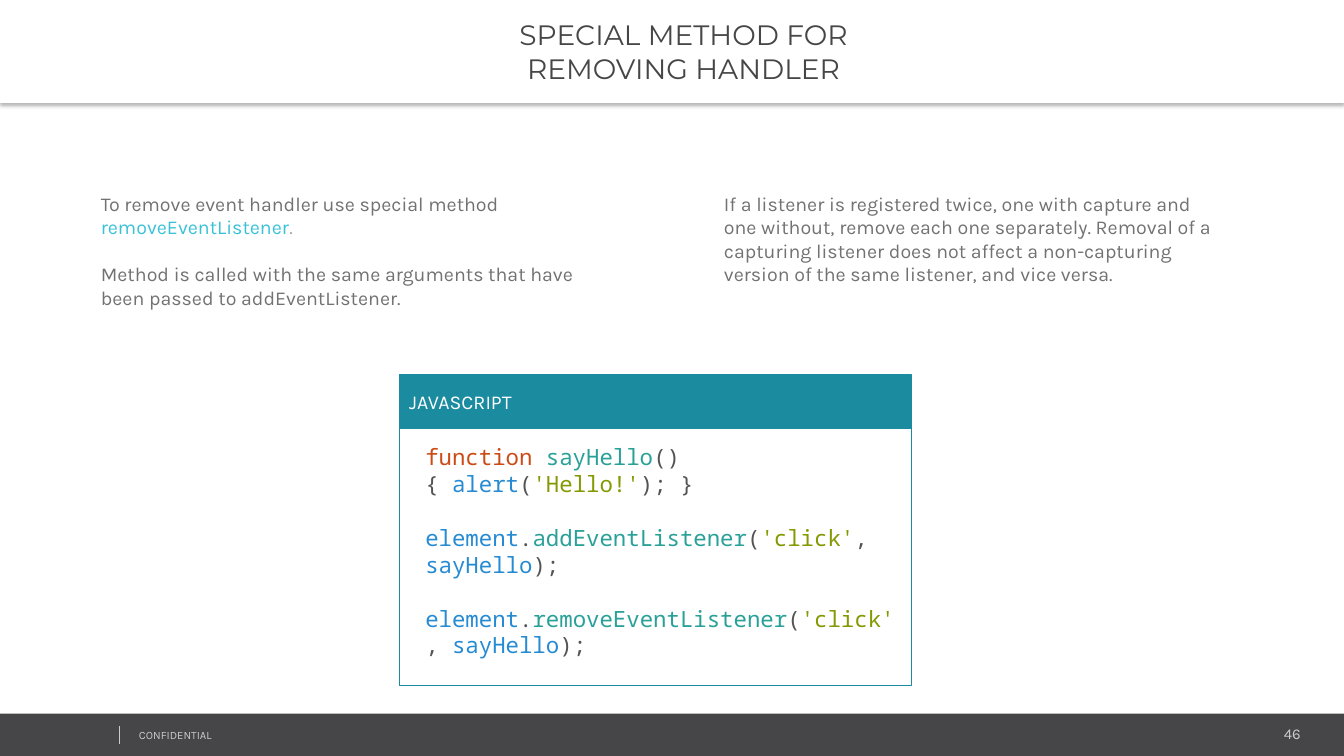
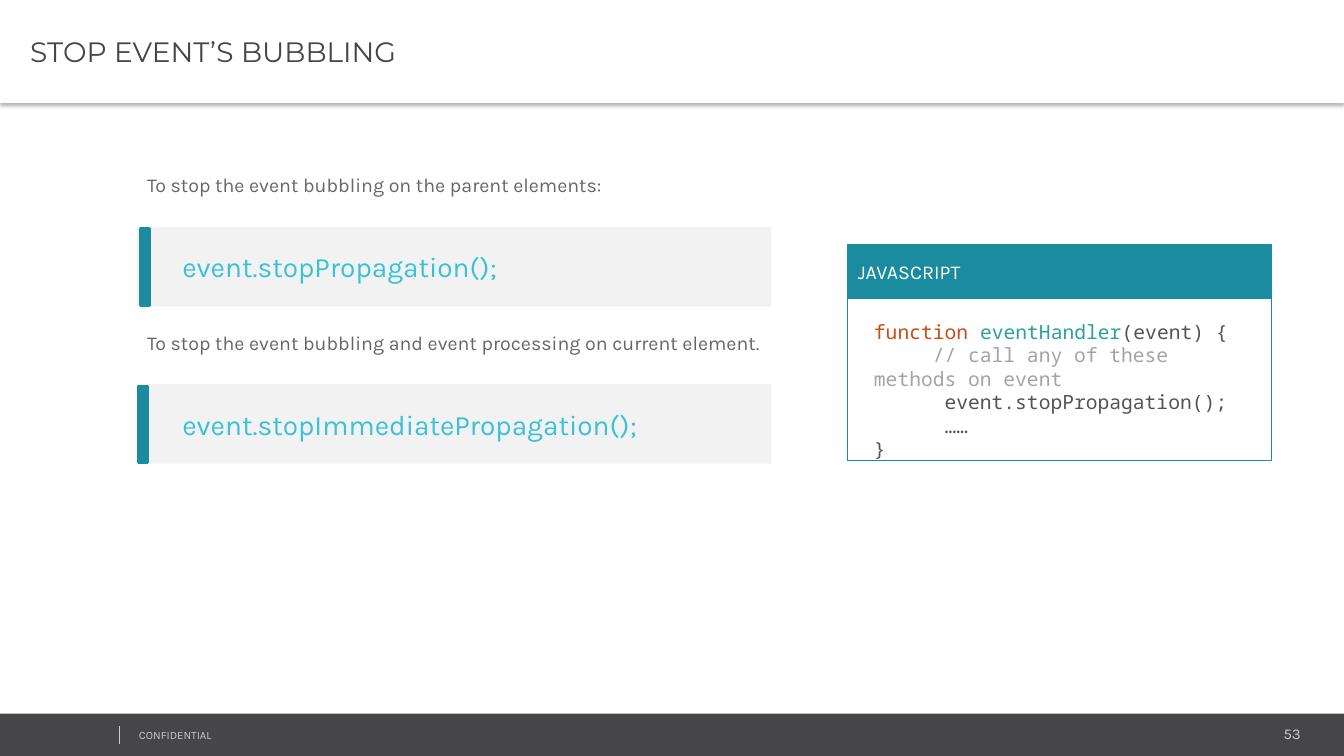
import pptx
import pptx.dml.color
import pptx.enum.shapes
import pptx.enum.text
import pptx.oxml.ns
import pptx.util
from lxml import etree

TEXT_FONT, TITLE_FONT, CODE_FONT = "Karla", "Montserrat", "Noto Sans Mono"
WHITE, DARK, LIGHT, PANEL = "FFFFFF", "464547", "CCCCCC", "F2F2F2"
TEAL, CYAN, BODY, STATEMENT, FAINT = "1B8BA0", "39C2D7", "727272", "666666", "A5A5A5"
KEYWORD, FUNCTION, NAME = "CB4B16", "2AA198", "268BD2"
STRING, PLAIN, COMMENT = "859900", "535353", "A3A3A3"

LEFT = pptx.enum.text.PP_ALIGN.LEFT
CENTER = pptx.enum.text.PP_ALIGN.CENTER
RIGHT = pptx.enum.text.PP_ALIGN.RIGHT
TOP = pptx.enum.text.MSO_ANCHOR.TOP
MIDDLE = pptx.enum.text.MSO_ANCHOR.MIDDLE
RECTANGLE = pptx.enum.shapes.MSO_SHAPE.RECTANGLE
STRAIGHT = pptx.enum.shapes.MSO_CONNECTOR.STRAIGHT

WIDTH, HEIGHT, BAND_HEIGHT = 1333, 750, 102
INSETS = (10, 5, 10, 5)
LINE_HEIGHT = 1.2


def px(length):
    """Turn px, 100 to the inch, into EMU."""
    return pptx.util.Emu(length * 9144)


def color(value):
    return pptx.dml.color.RGBColor.from_string(value)


def child(parent, tag, **attributes):
    return etree.SubElement(parent, pptx.oxml.ns.qn(tag), attributes)


class Deck:
    def __init__(self):
        self.presentation = pptx.Presentation()
        self.presentation.slide_width = px(WIDTH)
        self.presentation.slide_height = px(HEIGHT)
        self.slide = None

    def new_slide(self, layout_name, number, title, align):
        layout = self.presentation.slide_layouts.get_by_name(layout_name)
        self.slide = self.presentation.slides.add_slide(layout)
        self.footer(number)
        self.title(title, align)

    def footer(self, number):
        self.box(0, 708, 1335, 43, DARK)
        self.text(1082, 714, 218, 28, [[(number, LIGHT)]], 10.7, align=RIGHT)
        self.text(128, 718, 338, 24, [[("CONFIDENTIAL", LIGHT)]], 8)
        divider = self.slide.shapes.add_connector(
            STRAIGHT, px(119), px(720), px(119), px(738))
        divider.line.color.rgb = color(LIGHT)
        divider.line.width = pptx.util.Pt(0.75)
        child(divider.element.spPr, "a:effectLst")

    def title(self, title, align):
        shape = self.slide.shapes.title
        self.place(shape, 0, 0, WIDTH, BAND_HEIGHT)
        shape.fill.solid()
        shape.fill.fore_color.rgb = color(WHITE)
        effects = child(shape.element.spPr, "a:effectLst")
        shadow = child(effects, "a:outerShdw", blurRad=str(pptx.util.Pt(3.1)),
                       dist=str(pptx.util.Pt(2)), dir="5400000",
                       algn="t", rotWithShape="0")
        child(child(shadow, "a:srgbClr", val="000000"), "a:alpha", val="30000")
        self.fill_text(shape, [[(title, DARK)]], 20, TITLE_FONT, align=align,
                       anchor=MIDDLE, insets=(30, 4, 7, 4))

    def place(self, shape, left, top, width, height):
        shape.left, shape.top = px(left), px(top)
        shape.width, shape.height = px(width), px(height)

    def box(self, left, top, width, height, fill=None, line=None, weight=0.75):
        shape = self.slide.shapes.add_shape(
            RECTANGLE, px(left), px(top), px(width), px(height))
        shape.shadow.inherit = False
        if fill:
            shape.fill.solid()
            shape.fill.fore_color.rgb = color(fill)
        else:
            shape.fill.background()
        if line:
            shape.line.color.rgb = color(line)
            shape.line.width = pptx.util.Pt(weight)
        else:
            shape.line.fill.background()
        return shape

    def text(self, left, top, width, height, paragraphs, size, font=TEXT_FONT, **style):
        shape = self.slide.shapes.add_textbox(px(left), px(top), px(width), px(height))
        self.fill_text(shape, paragraphs, size, font, **style)

    def body(self, index, left, top, width, height, paragraphs, gap=0):
        shape = self.slide.placeholders[index]
        self.place(shape, left, top, width, height)
        self.fill_text(shape, paragraphs, 14, TEXT_FONT, gap=gap)

    def fill_text(self, shape, paragraphs, size, font, gap=0, align=LEFT,
                  anchor=TOP, insets=INSETS):
        """Fill a shape with paragraphs of (text, colour) runs, gap lines apart."""
        frame = shape.text_frame
        frame.word_wrap = True
        frame.auto_size = pptx.enum.text.MSO_AUTO_SIZE.NONE
        frame.vertical_anchor = anchor
        (frame.margin_left, frame.margin_top,
         frame.margin_right, frame.margin_bottom) = map(px, insets)
        for position, runs in enumerate(paragraphs):
            paragraph = frame.add_paragraph() if position else frame.paragraphs[0]
            properties = paragraph._p.get_or_add_pPr()
            properties.set("marL", "0")
            properties.set("indent", "0")
            child(properties, "a:buNone")
            paragraph.alignment = align
            paragraph.line_spacing = pptx.util.Pt(size * LINE_HEIGHT)
            paragraph.space_before = pptx.util.Pt(
                size * LINE_HEIGHT * gap if position else 0)
            for text, run_color in runs:
                for row, line in enumerate(text.split("\n")):
                    if row:
                        paragraph.add_line_break()
                    run = paragraph.add_run()
                    run.text = line
                    run.font.name = font
                    run.font.size = pptx.util.Pt(size)
                    run.font.color.rgb = color(run_color)

    def code_panel(self, left, top, width, height, code_top, code_width, code, size, gap=0):
        header_height = 53
        header = self.box(left, top, width, header_height, TEAL, TEAL)
        self.fill_text(header, [[("JAVASCRIPT", WHITE)]], 14, TEXT_FONT, anchor=MIDDLE)
        code_box_top = top + header_height
        self.box(left, code_box_top, width, height - header_height, line=TEAL)
        self.text(left + 16, code_top, code_width, top + height - code_top,
                  code, size, CODE_FONT, gap=gap)

    def highlight(self, top, bar_left, statement, call):
        self.text(136, top - 58, 629, 35, [[(statement, STATEMENT)]], 14)
        self.box(136, top, 629, 79, PANEL)
        self.text(171, top + 18, 594, 44, [[(call, CYAN)]], 20)
        self.box(bar_left, top + 2, 9, 76, TEAL, TEAL, 2)


def listener_call(method):
    return [("element", NAME), (".", PLAIN), (method, FUNCTION), ("(", PLAIN),
            ("'click'", STRING), (", ", PLAIN), ("sayHello", NAME), (");", PLAIN)]


def removing_handler(deck):
    deck.new_slide("Two Content", "46", "SPECIAL METHOD FOR\nREMOVING HANDLER", CENTER)
    deck.body(1, 90, 185, 508, 128, [
        [("To remove event handler use special method ", BODY),
         ("removeEventListener", CYAN), (".", FAINT)],
        [("Method is called with the same arguments that have been passed to "
          "addEventListener.", BODY)],
    ], gap=1)
    deck.body(2, 708, 185, 513, 104, [
        [("If a listener is registered twice, one with capture and one without, "
          "remove each one separately. Removal of a capturing listener does not "
          "affect a non-capturing version of the same listener, and vice versa.", BODY)],
    ])
    deck.code_panel(396, 372, 508, 308, 435, 493, [
        [("function ", KEYWORD), ("sayHello", FUNCTION), ("() { ", PLAIN),
         ("alert", NAME), ("(", PLAIN), ("'Hello!'", STRING), ("); }", PLAIN)],
        listener_call("addEventListener"),
        listener_call("removeEventListener"),
    ], 16, gap=1)


def stop_bubbling(deck):
    deck.new_slide("Title Only", "53", "STOP EVENT’S BUBBLING", LEFT)
    deck.highlight(225, 139, "To stop the event bubbling on the parent elements:",
                   "event.stopPropagation();")
    deck.highlight(381, 137,
                   "To stop the event bubbling and event processing on current element.",
                   "event.stopImmediatePropagation();")
    deck.code_panel(841, 243, 420, 214, 312, 390, [
        [("function ", KEYWORD), ("eventHandler", FUNCTION), ("(event) {", PLAIN)],
        [("     // call any of these methods on event", COMMENT)],
        [("      event.stopPropagation();", PLAIN)],
        [("      ……", PLAIN)],
        [("}", PLAIN)],
    ], 14)


def main():
    deck = Deck()
    removing_handler(deck)
    stop_bubbling(deck)
    deck.presentation.save("out.pptx")


if __name__ == "__main__":
    main()
